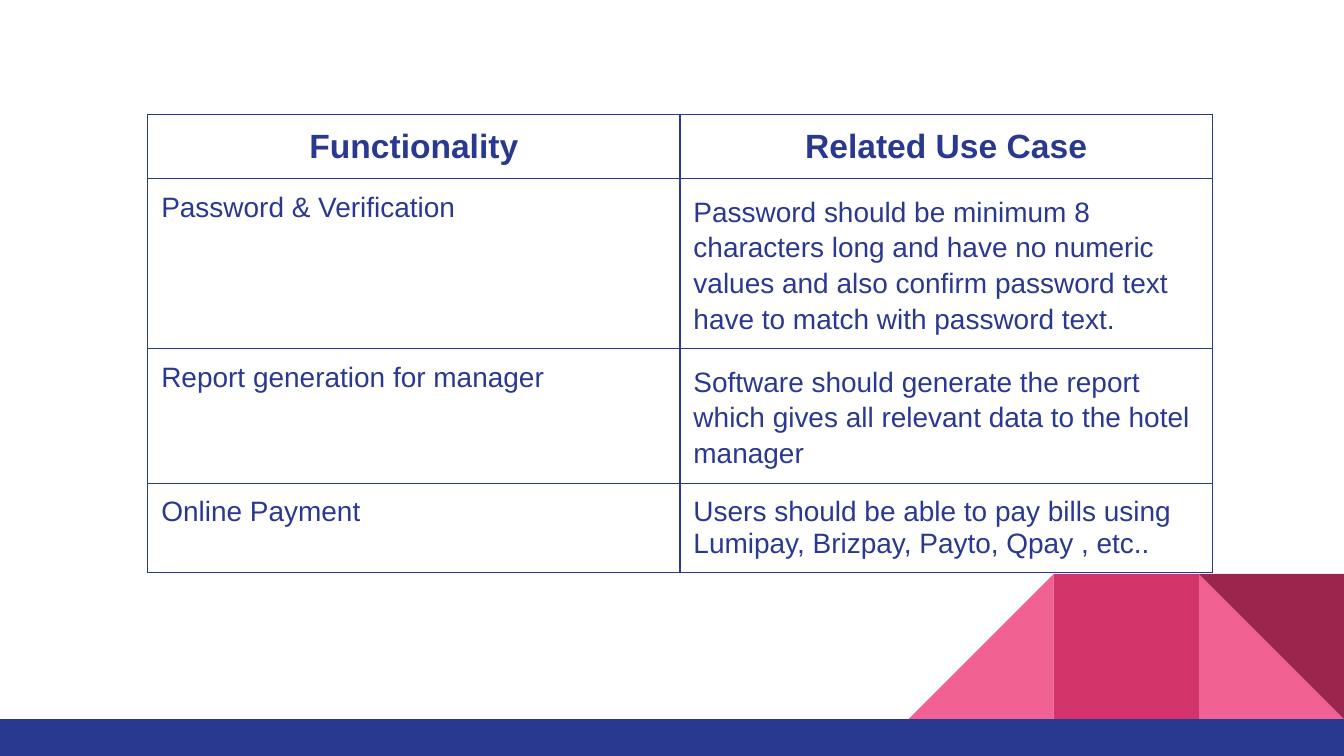
"""Build a slide with a functionality and use case table above a geometric footer."""
import pptx
import pptx.util
import pptx.dml.color
import pptx.enum.shapes
import pptx.enum.text
import pptx.oxml

COLORS = {"navy": "2A3990", "pink": "F06292", "rose": "D23369", "wine": "9C254D"}
WIDTH = 10
HEIGHT = WIDTH * 9 / 16
HEADERS = ["Functionality", "Related Use Case"]
ROWS = [
    ("Password & Verification",
     "Password should be minimum 8 characters long and have no numeric values "
     "and also confirm password text have to match with password text.", 1.15),
    ("Report generation for manager",
     "Software should generate the report which gives all relevant data "
     "to the hotel manager", 1.15),
    ("Online Payment",
     "Users should be able to pay bills using Lumipay, Brizpay, Payto, Qpay , etc..", None),
]
ROW_HEIGHTS = [0.48, 1.26, 1, 0.66]
TABLE_LEFT, TABLE_TOP, COLUMN = 1.1, 0.85, 3.96
TILE, BAR_TOP = 1.08, 5.35
TILES = [
    (1, "RIGHT_TRIANGLE", 0, "pink"),
    (3, "RIGHT_TRIANGLE", 270, "pink"),
    (2, "RECTANGLE", 0, "rose"),
    (1, "RIGHT_TRIANGLE", 180, "wine"),
]


def rgb(name):
    return pptx.dml.color.RGBColor.from_string(COLORS[name])


def add_block(s, kind, box, color, rotation=0):
    shape_type = getattr(pptx.enum.shapes.MSO_SHAPE, kind)
    sp = s.shapes.add_shape(shape_type, *map(pptx.util.Inches, box))
    sp.rotation = rotation
    sp.shadow.inherit = False
    sp.fill.solid()
    sp.fill.fore_color.rgb = rgb(color)
    sp.line.fill.background()


def write(tf, text, size=15, bold=False, align="LEFT", spacing=None):
    p = tf.paragraphs[0]
    p.alignment = getattr(pptx.enum.text.PP_ALIGN, align)
    p.line_spacing = spacing
    r = p.add_run()
    r.text = text
    r.font.name, r.font.size, r.font.bold = "Arial", pptx.util.Pt(size), bold
    r.font.color.rgb = rgb("navy")


def format_cell(cell):
    cell.margin_left = cell.margin_right = pptx.util.Inches(0.1)
    cell.margin_top = cell.margin_bottom = pptx.util.Inches(0.1)
    cell.fill.background()
    props = cell._tc.get_or_add_tcPr()
    for i, side in enumerate("LRTB"):
        props.insert(i, pptx.oxml.parse_xml(
            f'<a:ln{side} xmlns:a="http://schemas.openxmlformats.org/drawingml/2006/main" '
            f'w="{pptx.util.Pt(0.75)}"><a:solidFill><a:srgbClr val="{COLORS["navy"]}"/>'
            f'</a:solidFill></a:ln{side}>'))


def add_use_cases(s):
    box = (TABLE_LEFT, TABLE_TOP, COLUMN * len(HEADERS), sum(ROW_HEIGHTS))
    table = s.shapes.add_table(len(ROW_HEIGHTS), len(HEADERS),
                               *map(pptx.util.Inches, box)).table
    table.first_row = table.horz_banding = False
    for row, height in zip(table.rows, ROW_HEIGHTS):
        row.height = pptx.util.Inches(height)
    for cell in table.iter_cells():
        format_cell(cell)
    for i, header in enumerate(HEADERS):
        write(table.cell(0, i).text_frame, header, size=18, bold=True, align="CENTER")
    for i, (functionality, use_case, spacing) in enumerate(ROWS, 1):
        write(table.cell(i, 0).text_frame, functionality)
        write(table.cell(i, 1).text_frame, use_case, spacing=spacing)


def main():
    prs = pptx.Presentation()
    prs.slide_width = pptx.util.Inches(WIDTH)
    prs.slide_height = pptx.util.Inches(HEIGHT)
    s = prs.slides.add_slide(prs.slide_layouts[6])
    for steps, kind, rotation, color in TILES:
        box = (WIDTH - steps * TILE, BAR_TOP - TILE, TILE, TILE)
        add_block(s, kind, box, color, rotation)
    add_block(s, "RECTANGLE", (0, BAR_TOP, WIDTH, HEIGHT - BAR_TOP), "navy")
    add_use_cases(s)
    prs.save("out.pptx")


if __name__ == "__main__":
    main()
